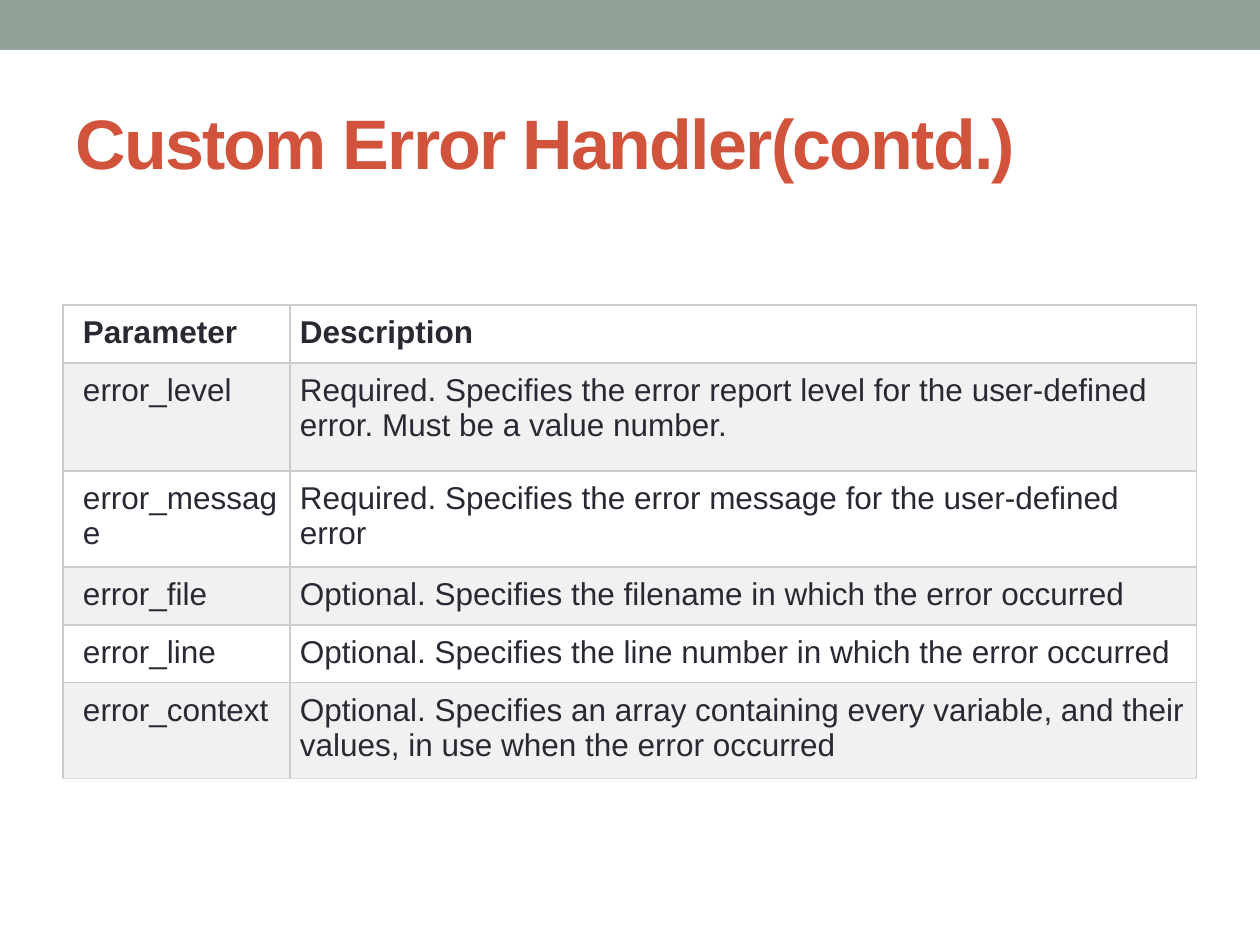
from lxml.etree import SubElement
from pptx import Presentation
from pptx.dml.color import RGBColor
from pptx.enum.shapes import MSO_SHAPE
from pptx.enum.text import MSO_ANCHOR
from pptx.oxml.ns import qn
from pptx.util import Pt

EMU_PER_PX = 914400 // 126
SLIDE_WIDTH, SLIDE_HEIGHT = 1260, 945

COLUMN_WIDTHS = [227, 907]
ROW_HEIGHTS = [58, 108, 96, 58, 58, 96]
PARAMETERS = [
    ("Parameter", "Description"),
    ("error_level", "Required. Specifies the error report level for the "
                    "user-defined error. Must be a value number."),
    ("error_message", "Required. Specifies the error message for the "
                      "user-defined error"),
    ("error_file", "Optional. Specifies the filename in which the error occurred"),
    ("error_line", "Optional. Specifies the line number in which the error occurred"),
    ("error_context", "Optional. Specifies an array containing every variable, "
                      "and their values, in use when the error occurred"),
]


def px(length):
    return length * EMU_PER_PX


def color(hex_string):
    return RGBColor.from_string(hex_string)


def style_font(font, size, hex_string, bold):
    font.name = "Arial"
    font.size = Pt(size)
    font.bold = bold
    font.color.rgb = color(hex_string)


def add_top_band(slide):
    band = slide.shapes.add_shape(MSO_SHAPE.RECTANGLE, 0, 0, px(SLIDE_WIDTH), px(50))
    band.shadow.inherit = False
    band.fill.solid()
    band.fill.fore_color.rgb = color("93A299")
    band.line.fill.background()


def add_title(slide, text):
    title = slide.shapes.add_textbox(px(63), px(73), px(1134), px(136))
    frame = title.text_frame
    frame.word_wrap = True
    frame.vertical_anchor = MSO_ANCHOR.MIDDLE
    frame.text = text
    run = frame.paragraphs[0].runs[0]
    style_font(run.font, 40, "D2533C", True)
    run.font._element.set("spc", "-100")


def set_borders(cell, bottom_color):
    """Draw the four edges; they must come before the fill in the cell's XML."""
    properties = cell._tc.get_or_add_tcPr()
    edges = {"lnL": "CCCCCC", "lnR": "CCCCCC", "lnT": "CCCCCC", "lnB": bottom_color}
    for edge, hex_string in edges.items():
        line = SubElement(properties, qn(f"a:{edge}"), w=str(Pt(0.75)))
        fill = SubElement(line, qn("a:solidFill"))
        SubElement(fill, qn("a:srgbClr"), val=hex_string)


def fill_cell(cell, text, row, column):
    is_last_row = row == len(PARAMETERS) - 1
    set_borders(cell, "DDDDDD" if is_last_row else "CCCCCC")
    cell.fill.solid()
    cell.fill.fore_color.rgb = color("F1F1F1" if row % 2 else "FFFFFF")
    cell.margin_left = px(20 if column == 0 else 10)
    cell.margin_right = cell.margin_top = cell.margin_bottom = px(10)
    cell.text_frame.text = text
    style_font(cell.text_frame.paragraphs[0].runs[0].font, 18, "292934", row == 0)


def add_parameter_table(slide):
    table = slide.shapes.add_table(
        len(ROW_HEIGHTS), len(COLUMN_WIDTHS), px(63), px(305),
        px(sum(COLUMN_WIDTHS)), px(sum(ROW_HEIGHTS))).table
    for column, width in zip(table.columns, COLUMN_WIDTHS):
        column.width = px(width)
    for row, height in zip(table.rows, ROW_HEIGHTS):
        row.height = px(height)
    for row, texts in enumerate(PARAMETERS):
        for column, text in enumerate(texts):
            fill_cell(table.cell(row, column), text, row, column)


def main():
    presentation = Presentation()
    presentation.slide_width = px(SLIDE_WIDTH)
    presentation.slide_height = px(SLIDE_HEIGHT)
    slide = presentation.slides.add_slide(presentation.slide_layouts[6])
    add_top_band(slide)
    add_title(slide, "Custom Error Handler(contd.)")
    add_parameter_table(slide)
    presentation.save("out.pptx")


if __name__ == "__main__":
    main()
